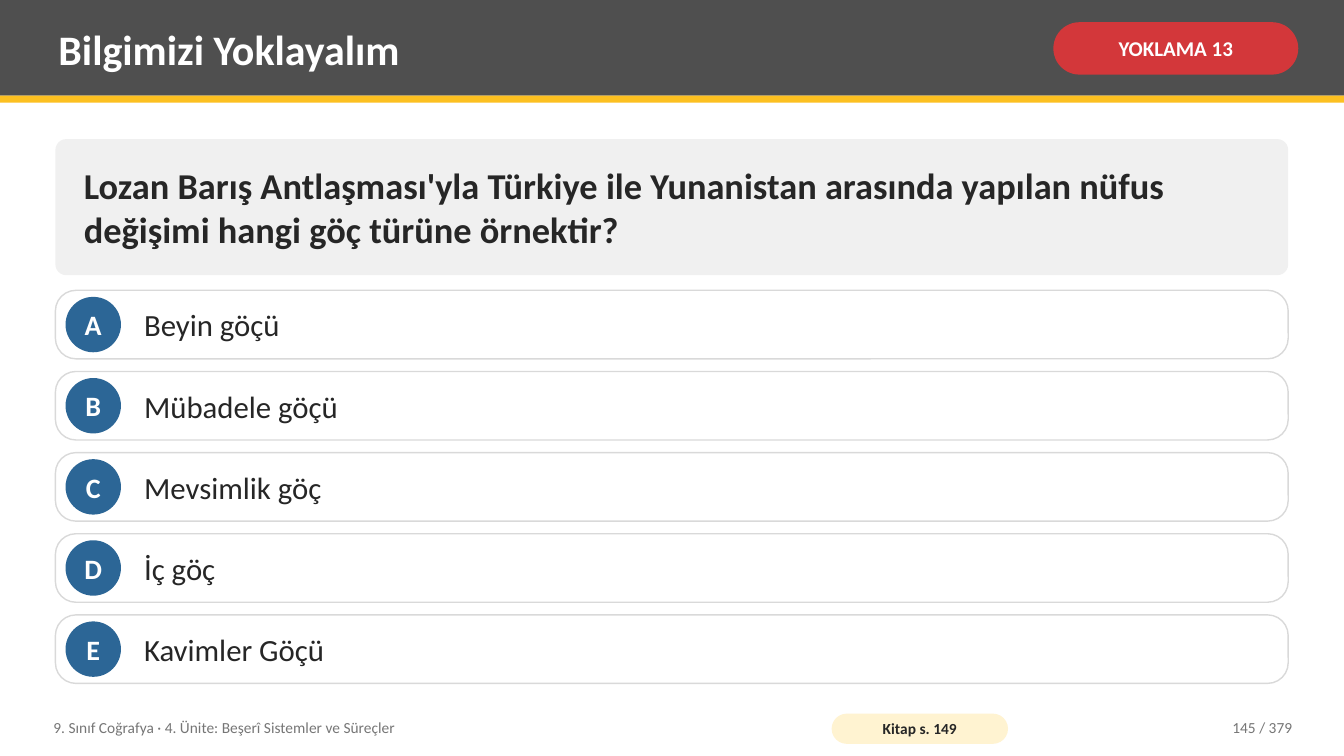
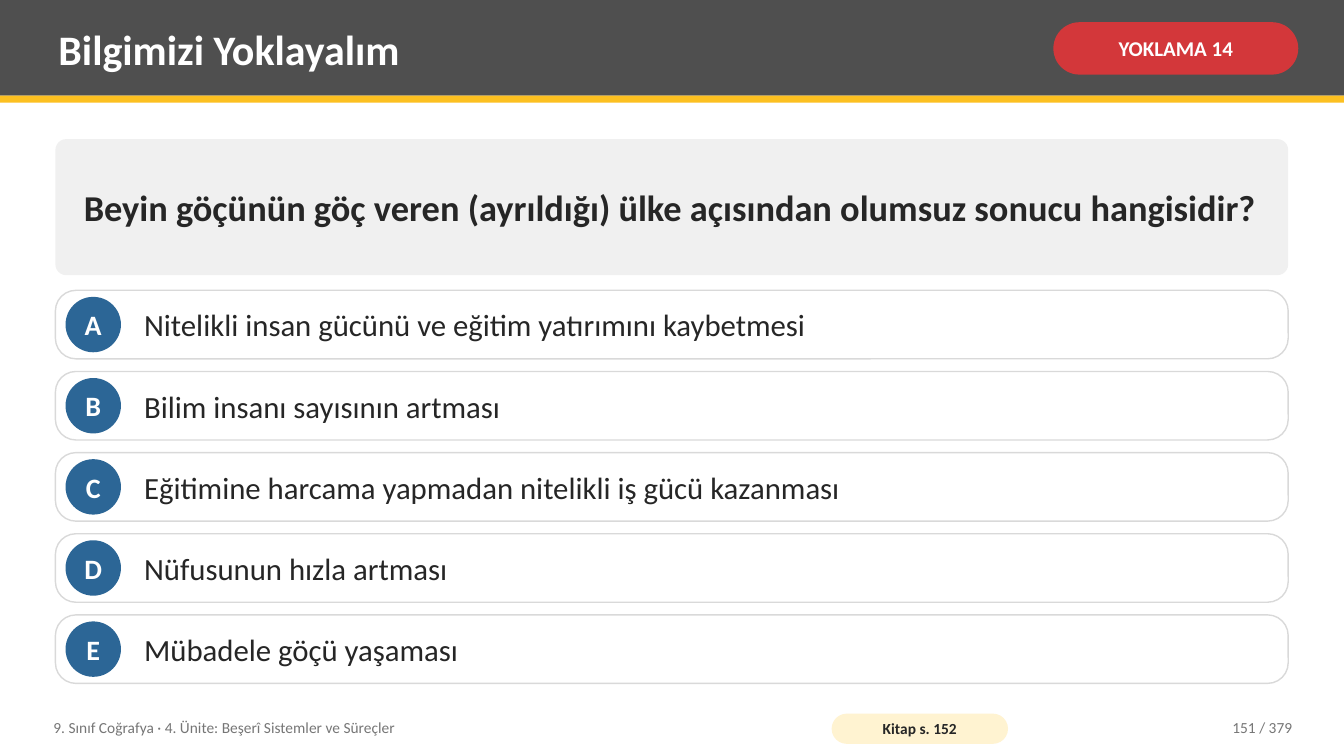
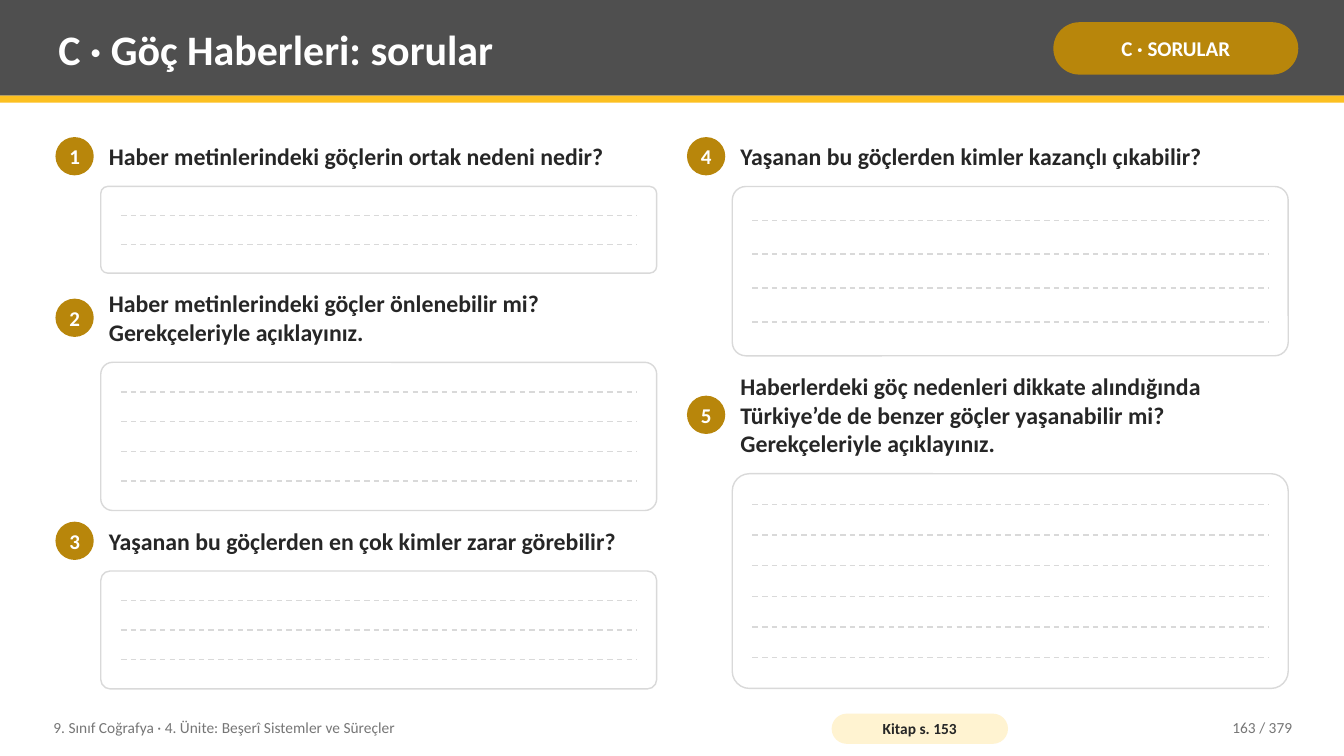
from dataclasses import dataclass
from typing import Any, NamedTuple

from lxml import etree
from pptx import Presentation
from pptx import util as u
from pptx.dml.color import RGBColor
from pptx.enum import dml, shapes, text
from pptx.oxml import ns

CELL = u.Inches(0.1)
SLIDE_COLS, SLIDE_ROWS = 133.33, 75
LEFT, CONTENT_COLS = 5.5, 122.3
LEFT_ALIGN, CENTER, RIGHT_ALIGN = text.PP_ALIGN.LEFT, text.PP_ALIGN.CENTER, text.PP_ALIGN.RIGHT
RECT, ROUND, OVAL = (
    shapes.MSO_SHAPE.RECTANGLE,
    shapes.MSO_SHAPE.ROUNDED_RECTANGLE,
    shapes.MSO_SHAPE.OVAL,
)


@dataclass(frozen=True)
class Theme:
    font: str = "Calibri"
    band: str = "4F4F4F"
    accent: str = "FCC021"
    white: str = "FFFFFF"
    ink: str = "262626"
    muted: str = "767676"
    panel: str = "F0F0F0"
    outline: str = "D9D9D9"
    red: str = "D3373A"
    blue: str = "2C6696"
    gold: str = "B8860B"
    cream: str = "FFF3D1"
    title_size: int = 30
    prompt_size: int = 26
    option_size: int = 22
    letter_size: int = 20
    question_size: int = 17
    label_size: int = 15
    footer_size: int = 11
    line_width: int = 1


THEME = Theme()


class Area(NamedTuple):
    col: float
    row: float
    cols: float
    rows: float


class Style(NamedTuple):
    size: int
    colour: str
    bold: bool = True
    align: Any = LEFT_ALIGN
    inset_cols: float = 0.8
    inset_rows: float = 0.4
    wrap: bool = True


TITLE = Style(THEME.title_size, THEME.white)
TAG = Style(THEME.label_size, THEME.white, True, CENTER, 0.5, 0.2)
PROMPT = Style(THEME.prompt_size, THEME.ink, True, LEFT_ALIGN, 2.5, 0.8)
LETTER = Style(THEME.letter_size, THEME.white, True, CENTER, 0, 0, False)
NUMBER = LETTER._replace(size=THEME.label_size)
OPTION = Style(THEME.option_size, THEME.ink, False)
QUESTION = Style(THEME.question_size, THEME.ink)
FOOTER = Style(THEME.footer_size, THEME.muted, False)
PAGE_NUMBER = FOOTER._replace(align=RIGHT_ALIGN)
BOOK_REF = Style(THEME.footer_size, THEME.ink, True, CENTER, 0.4, 0)


class Frame(NamedTuple):
    title: str
    tag: str
    tag_colour: str
    book_page: int
    number: int


class Quiz(NamedTuple):
    frame: Frame
    prompt: str
    options: tuple[str, ...]


class Question(NamedTuple):
    wording: str
    text_lines: int
    answer_lines: int
    answer_rows: float


QUIZZES = (
    Quiz(
        Frame("Bilgimizi Yoklayalım", "YOKLAMA 13", THEME.red, 149, 145),
        "Lozan Barış Antlaşması'yla Türkiye ile Yunanistan arasında yapılan nüfus "
        "değişimi hangi göç türüne örnektir?",
        ("Beyin göçü", "Mübadele göçü", "Mevsimlik göç", "İç göç", "Kavimler Göçü"),
    ),
    Quiz(
        Frame("Bilgimizi Yoklayalım", "YOKLAMA 14", THEME.red, 152, 151),
        "Beyin göçünün göç veren (ayrıldığı) ülke açısından olumsuz sonucu hangisidir?",
        (
            "Nitelikli insan gücünü ve eğitim yatırımını kaybetmesi",
            "Bilim insanı sayısının artması",
            "Eğitimine harcama yapmadan nitelikli iş gücü kazanması",
            "Nüfusunun hızla artması",
            "Mübadele göçü yaşaması",
        ),
    ),
)

WORKSHEET = Frame("C · Göç Haberleri: sorular", "C · SORULAR", THEME.gold, 153, 163)
QUESTION_COLUMNS = (
    (
        Question("Haber metinlerindeki göçlerin ortak nedeni nedir?", 1, 2, 8.6),
        Question(
            "Haber metinlerindeki göçler önlenebilir mi? Gerekçeleriyle açıklayınız.",
            2, 4, 14.7,
        ),
        Question("Yaşanan bu göçlerden en çok kimler zarar görebilir?", 1, 3, 11.7),
    ),
    (
        Question("Yaşanan bu göçlerden kimler kazançlı çıkabilir?", 1, 4, 16.8),
        Question(
            "Haberlerdeki göç nedenleri dikkate alındığında Türkiye’de de benzer göçler "
            "yaşanabilir mi? Gerekçeleriyle açıklayınız.",
            3, 6, 21.3,
        ),
    ),
)


def cells(count: float) -> int:
    return round(count * CELL)


def assign(target: Any, values: dict[str, Any]) -> None:
    for name, value in values.items():
        setattr(target, name, value)


def write(box: Any, wording: str, style: Style) -> None:
    frame = box.text_frame
    assign(frame, {
        "word_wrap": style.wrap,
        "vertical_anchor": text.MSO_ANCHOR.MIDDLE,
        "margin_left": cells(style.inset_cols),
        "margin_right": cells(style.inset_cols),
        "margin_top": cells(style.inset_rows),
        "margin_bottom": cells(style.inset_rows),
    })
    para = frame.paragraphs[0]
    para.alignment = style.align
    span = para.add_run()
    span.text = wording
    assign(span.font, {"name": THEME.font, "size": u.Pt(style.size), "bold": style.bold})
    span.font.color.rgb = RGBColor.from_string(style.colour)


def add_text(page: Any, area: Area, wording: str, style: Style) -> None:
    write(page.shapes.add_textbox(*map(cells, area)), wording, style)


def set_line(line: Any, colour: str) -> None:
    line.color.rgb = RGBColor.from_string(colour)
    line.width = u.Pt(THEME.line_width)


def add_box(page: Any, kind: Any, area: Area, fill: str,
            corner: float | None = None, outline: str | None = None) -> Any:
    box = page.shapes.add_shape(kind, *map(cells, area))
    box.shadow.inherit = False
    box.fill.solid()
    box.fill.fore_color.rgb = RGBColor.from_string(fill)
    if corner is not None:
        box.adjustments[0] = corner
    if outline:
        set_line(box.line, outline)
    else:
        box.line.fill.background()
    return box


def add_badge(page: Any, col: float, middle: float, size: float,
              fill: str, label: str, style: Style) -> None:
    area = Area(col, middle - size / 2, size, size)
    write(add_box(page, OVAL, area, fill), label, style)


def add_writing_line(page: Any, start: float, end: float, row: float) -> None:
    rule = page.shapes.add_connector(
        shapes.MSO_CONNECTOR.STRAIGHT, cells(start), cells(row), cells(end), cells(row)
    )
    set_line(rule.line, THEME.outline)
    rule.line.dash_style = dml.MSO_LINE.DASH
    etree.SubElement(rule._element.spPr, ns.qn("a:effectLst"))


def add_page(deck: Any, frame: Frame) -> Any:
    page = deck.slides.add_slide(deck.slide_layouts[6])
    add_box(page, RECT, Area(0, 0, SLIDE_COLS, 9.5), THEME.band)
    add_box(page, RECT, Area(0, 9.5, SLIDE_COLS, 0.7), THEME.accent)
    add_text(page, Area(5, 0.7, 97.5, 8.2), frame.title, TITLE)
    tag = add_box(page, ROUND, Area(104.5, 2.2, 24.3, 5.2), frame.tag_colour, 0.5)
    write(tag, frame.tag, TAG)
    add_text(page, Area(4.5, 70.4, 76, 3.6),
             "9. Sınıf Coğrafya · 4. Ünite: Beşerî Sistemler ve Süreçler", FOOTER)
    book_ref = add_box(page, ROUND, Area(82.5, 70.8, 17.5, 3), THEME.cream, 0.5)
    write(book_ref, f"Kitap s. {frame.book_page}", BOOK_REF)
    add_text(page, Area(113, 70.4, 16, 3.6), f"{frame.number} / 379", PAGE_NUMBER)
    return page


def draw_quiz(deck: Any, quiz: Quiz) -> None:
    page = add_page(deck, quiz.frame)
    panel = add_box(page, ROUND, Area(LEFT, 13.8, CONTENT_COLS, 13.5), THEME.panel, 0.08)
    write(panel, quiz.prompt, PROMPT)
    first_row, pitch, height = 28.8, 8.05, 6.8
    for index, (letter, option) in enumerate(zip("ABCDE", quiz.options)):
        row = first_row + index * pitch
        add_box(page, ROUND, Area(LEFT, row, CONTENT_COLS, height),
                THEME.white, 0.3, THEME.outline)
        add_badge(page, LEFT + 1, row + height / 2, 5.5, THEME.blue, letter, LETTER)
        add_text(page, Area(LEFT + 8, row, CONTENT_COLS - 10, height), option, OPTION)


def draw_question(page: Any, number: int, question: Question,
                  col: float, cols: float, row: float) -> float:
    indent, gap, padding = 4.5, 0.8, 2
    text_rows = 1.55 + 2.85 * question.text_lines
    start, width = col + indent, cols - indent
    add_badge(page, col, row + text_rows / 2, 3.8, THEME.gold, str(number), NUMBER)
    add_text(page, Area(start, row, width, text_rows), question.wording, QUESTION)
    top = row + text_rows + gap
    add_box(page, ROUND, Area(start, top, width, question.answer_rows),
            THEME.white, 0.08, THEME.outline)
    spacing = question.answer_rows / (question.answer_lines + 1)
    for line in range(1, question.answer_lines + 1):
        add_writing_line(page, start + padding, start + width - padding, top + line * spacing)
    return top + question.answer_rows + gap


def draw_worksheet(deck: Any) -> None:
    page = add_page(deck, WORKSHEET)
    gutter = 3
    cols = (CONTENT_COLS - gutter) / len(QUESTION_COLUMNS)
    number = 1
    for index, questions in enumerate(QUESTION_COLUMNS):
        row = 13.3
        for question in questions:
            row = draw_question(page, number, question, LEFT + index * (cols + gutter), cols, row)
            number += 1


def main() -> None:
    deck = Presentation()
    assign(deck, {"slide_width": cells(SLIDE_COLS), "slide_height": cells(SLIDE_ROWS)})
    for quiz in QUIZZES:
        draw_quiz(deck, quiz)
    draw_worksheet(deck)
    deck.save("out.pptx")


if __name__ == "__main__":
    main()
